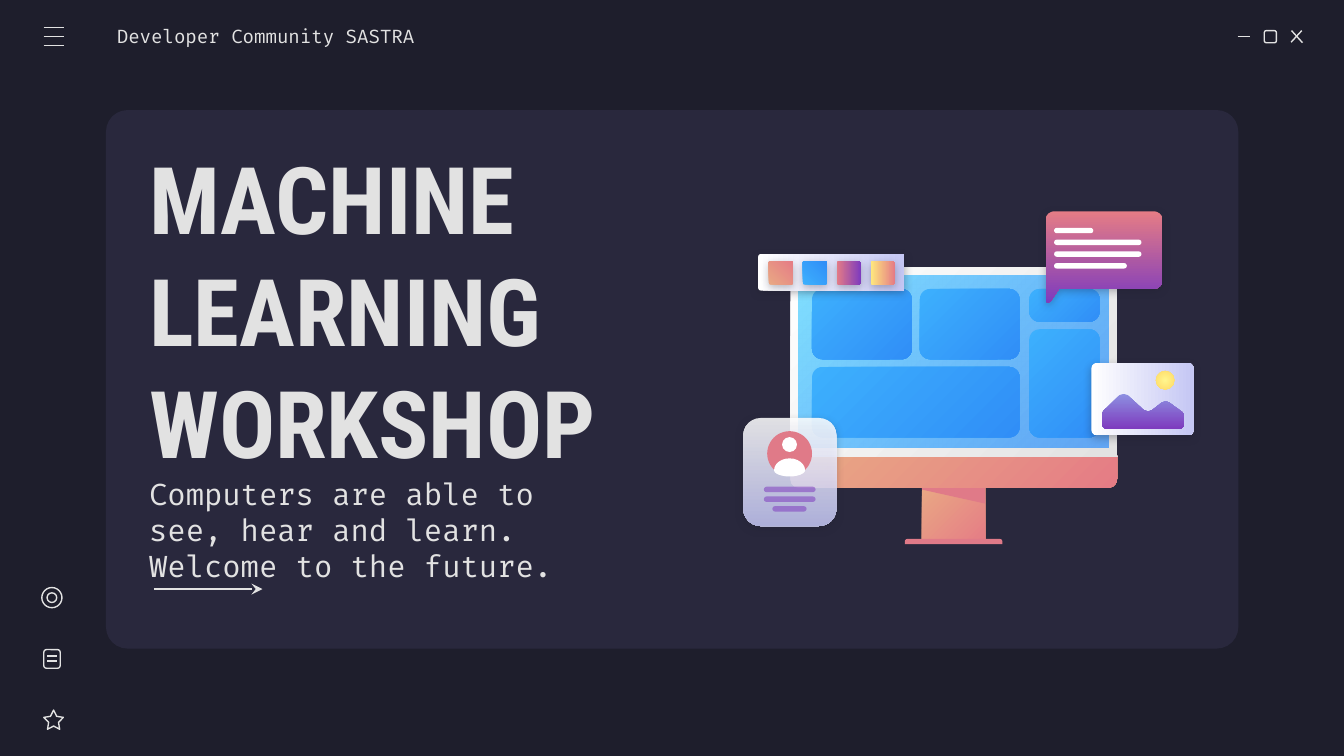
import math

from lxml import etree
from pptx import Presentation
from pptx.dml.color import RGBColor
from pptx.enum.shapes import MSO_CONNECTOR, MSO_SHAPE
from pptx.enum.text import MSO_ANCHOR, MSO_AUTO_SIZE, PP_ALIGN
from pptx.oxml.ns import qn
from pptx.util import Pt

RECT, ROUND = MSO_SHAPE.RECTANGLE, MSO_SHAPE.ROUNDED_RECTANGLE
TOP_ROUND = MSO_SHAPE.ROUND_2_SAME_RECTANGLE
OVAL, STAR = MSO_SHAPE.OVAL, MSO_SHAPE.STAR_5_POINT
STRAIGHT = MSO_CONNECTOR.STRAIGHT
MIDDLE, LEFT, NO_FIT = MSO_ANCHOR.MIDDLE, PP_ALIGN.LEFT, MSO_AUTO_SIZE.NONE

COLORS = {
    "bg": "1E1E2C", "panel": "29283D", "text": "E2E2E2", "white": "FFFFFF",
    "rose": "E07A88", "coral": "E57C85", "peach": "E9A984", "purple": "7E3BBE",
    "sky": "80DFFF", "ocean": "318FFA", "azure": "3DB0FD", "blue": "308EF7",
    "lavender": "C5C7F4", "violet": "8D90E1", "lemon": "FFF68E",
    "gold": "FFD966", "yellow": "FFEA7D",
}
RGB = {name: RGBColor.from_string(code) for name, code in COLORS.items()}

prs = Presentation()
prs.slide_width, prs.slide_height = Pt(720), Pt(405)
s = prs.slides.add_slide(prs.slide_layouts[0])
s.background.fill.solid()
s.background.fill.fore_color.rgb = RGB["bg"]


def draw(outline, box=None, fill=None, angle=45, alpha=(), adj=(), rotation=0, shadow=False):
    """Add a preset in a box, or a polygon from points; no fill means a thin outline.

    A pair of fill colours is a gradient, its angle measured clockwise.
    """
    if isinstance(outline, list):
        pts = [(Pt(x), Pt(y)) for x, y in outline]
        builder = s.shapes.build_freeform(*pts[0])
        builder.add_line_segments(pts[1:], close=True)
        sp = builder.convert_to_shape()
    else:
        sp = s.shapes.add_shape(outline, *(Pt(v) for v in box))
    for i, value in enumerate(adj):
        sp.adjustments[i] = value
    sp.rotation = rotation
    sp.shadow.inherit = False
    if fill is None:
        sp.fill.background()
        sp.line.color.rgb = RGB["text"]
        sp.line.width = Pt(0.75)
        return sp
    sp.line.fill.background()
    if isinstance(fill, tuple):
        sp.fill.gradient()
        sp.fill.gradient_angle = -angle % 360
        for stop, name in zip(sp.fill.gradient_stops, fill):
            stop.color.rgb = RGB[name]
    else:
        sp.fill.solid()
        sp.fill.fore_color.rgb = RGB[fill]
    props = sp._element.spPr
    for color, percent in zip(list(props.iter(qn("a:srgbClr"))), alpha):
        etree.SubElement(color, qn("a:alpha"), val=str(percent * 1000))
    if shadow:
        outer = etree.SubElement(props.find(qn("a:effectLst")), qn("a:outerShdw"),
                                 blurRad=str(Pt(4.5)), dist=str(Pt(1.5)),
                                 dir="5400000", algn="t", rotWithShape="0")
        color = etree.SubElement(outer, qn("a:srgbClr"), val=COLORS["bg"])
        etree.SubElement(color, qn("a:alpha"), val="30000")
    return sp


def write(sp, text, box, size, font="Fira Code", bold=False, inset=7.2):
    sp.left, sp.top, sp.width, sp.height = (Pt(v) for v in box)
    tf = sp.text_frame
    tf.word_wrap, tf.auto_size, tf.vertical_anchor = True, NO_FIT, MIDDLE
    tf.margin_left = Pt(inset)
    tf.margin_top = tf.margin_right = tf.margin_bottom = Pt(7.2)
    p = tf.paragraphs[0]
    p.alignment, p.space_before = LEFT, Pt(0)
    r = p.add_run()
    r.text = text
    r.font.size, r.font.name, r.font.bold = Pt(size), font, bold
    r.font.color.rgb = RGB["text"]


# Panel, behind the placeholders
panel = draw(ROUND, (56.8, 59, 606.6, 288.5), "panel", adj=(0.04,))
panel._element.getparent().insert(2, panel._element)

# Text
write(s.shapes.title, "MACHINE LEARNING WORKSHOP", (72.7, 102.3, 321.8, 126.7), 50,
      font="Roboto Condensed", bold=True)
write(s.placeholders[1], "Computers are able to see, hear and learn. Welcome to the future.",
      (72.7, 266.4, 233.3, 34.6), 16)
write(s.shapes.add_textbox(0, 0, 0, 0), "Developer Community SASTRA",
      (62.6, 8.7, 185.8, 21.6), 10, inset=0)

# Computer
draw(RECT, (493.9, 259.9, 33.9, 31), ("peach", "coral"))
draw(TOP_ROUND, (484.7, 288.7, 52.3, 2.9), "rose", adj=(0.5, 0))
draw([(493.9, 259.9), (493.9, 262.3), (527.8, 269.8), (527.8, 259.9)], fill="rose")
draw(TOP_ROUND, (423.4, 244.1, 175, 17.3), ("peach", "coral"), adj=(0, 0.27))
draw(TOP_ROUND, (423.4, 143.3, 175, 101.5), ("white", "text"), adj=(0.04, 0))
draw(RECT, (427.7, 147.6, 166.3, 92.2), ("sky", "ocean"), alpha=(100, 72))
for x, y, w, h in [(435, 154.8, 53.5, 37.7), (435, 196.6, 111.2, 37.7),
                   (492.7, 154.8, 53.5, 37.7), (551.4, 154.8, 37.7, 17.6),
                   (551.4, 176.4, 37.7, 57.9)]:
    draw(ROUND, (x, y, w, h), ("azure", "blue"), adj=(5.6 / min(w, h),))

# Speech bubble with lines of text
bubble = [(cx + 4.8 * math.cos(math.radians(a)), cy + 4.8 * math.sin(math.radians(a)))
          for cx, cy, start in [(565, 118, 180), (618, 118, 270), (618, 150, 0)]
          for a in range(start, start + 91, 15)]
draw(bubble + [(567.4, 154.8), (562.8, 161.6), (561.2, 162.2), (560.2, 161.2)],
     fill=("coral", "purple"), angle=90, shadow=True)
for i, width in enumerate([21, 46.8, 46.8, 39]):
    draw(ROUND, (564.7, 122.1 + 6.3 * i, width, 2.9), "white", adj=(0.5,))

# Profile card
draw(ROUND, (398.2, 223.9, 49.9, 57.9), ("white", "lavender"), angle=90, alpha=(86, 86),
     adj=(0.187,), shadow=True)
draw(OVAL, (411, 231, 24, 24), "rose")
draw(OVAL, (419, 234.2, 8, 8), "white")
draw([(423 + 8.3 * math.cos(math.radians(a)),
       252 + (3.3 if a < 180 else 6.4) * math.sin(math.radians(a)))
      for a in range(0, 360, 15)], fill="white")
for i, (x, width) in enumerate([(409.2, 27.7), (409.2, 27.7), (413.8, 18.3)]):
    draw(ROUND, (x, 260.8 + 5.2 * i, width, 2.9), "purple", alpha=(54,), adj=(0.5,))

# Landscape card
draw(ROUND, (592.6, 186.5, 38.9, 54.7), ("white", "lavender"), angle=90, adj=(0.073,),
     rotation=270, shadow=True)
draw([(602, 211), (599.8, 211.7), (591.1, 220.3), (590.4, 221.8), (590.4, 227.9),
      (592.2, 229.7), (632.7, 229.7), (634.4, 227.9), (634.4, 222.5), (633.6, 221),
      (626.4, 215.6), (624.4, 215), (622.6, 215.6), (617, 219.9), (615, 220.5),
      (612.7, 219.7), (604.1, 211.7)], fill=("violet", "purple"), angle=90)
sun = draw(OVAL, (619.2, 198.7, 10, 10), ("lemon", "gold"))
linear = sun._element.spPr.find(".//" + qn("a:lin"))
radial = etree.Element(qn("a:path"), path="circle")
etree.SubElement(radial, qn("a:fillToRect"), l="50000", t="50000", r="50000", b="50000")
linear.getparent().replace(linear, radial)

# Colour palette
draw(ROUND, (435.6, 106.6, 19.6, 78.5), ("white", "lavender"), angle=90, adj=(0.073,),
     rotation=270, shadow=True)
swatches = [("peach", "coral", 45), ("azure", "blue", 45),
            ("coral", "purple", 90), ("yellow", "coral", 90)]
for i, (first, last, angle) in enumerate(swatches):
    draw(ROUND, (412 + 18.2 * i, 139.7, 12.5, 13), (first, last), angle=angle,
         adj=(0.073,), rotation=270, shadow=True)

# Outline icons
draw(ROUND, (677.3, 16.4, 6.5, 6.5), adj=(0.167,))
draw(STAR, (23.5, 380.4, 10.5, 10.3), adj=(0.254,))
draw(ROUND, (23.5, 348, 8.8, 10), adj=(0.167,))
draw(OVAL, (22.4, 314.8, 10.8, 10.8))
draw(OVAL, (25.2, 317.6, 5.2, 5.2))

# Menu, window buttons, note lines and, last, the arrow
menu = [(23.4, y, 34.2, y) for y in (14.8, 19.6, 24.4)]
window = [(663.1, 19.6, 669.6, 19.6), (691.9, 16.4, 697.8, 22.9), (697.4, 16.4, 691.7, 22.6)]
note = [(25.2, y, 30.4, y) for y in (351.4, 354.2)]
for x1, y1, x2, y2 in menu + window + note + [(82.4, 315.6, 140.6, 315.6)]:
    line = s.shapes.add_connector(STRAIGHT, Pt(x1), Pt(y1), Pt(x2), Pt(y2))
    line.line.color.rgb = RGB["text"]
    line.line.width = Pt(0.75)
    etree.SubElement(line._element.spPr, qn("a:effectLst"))
etree.SubElement(line.line._get_or_add_ln(), qn("a:tailEnd"), type="stealth")

prs.save("out.pptx")
